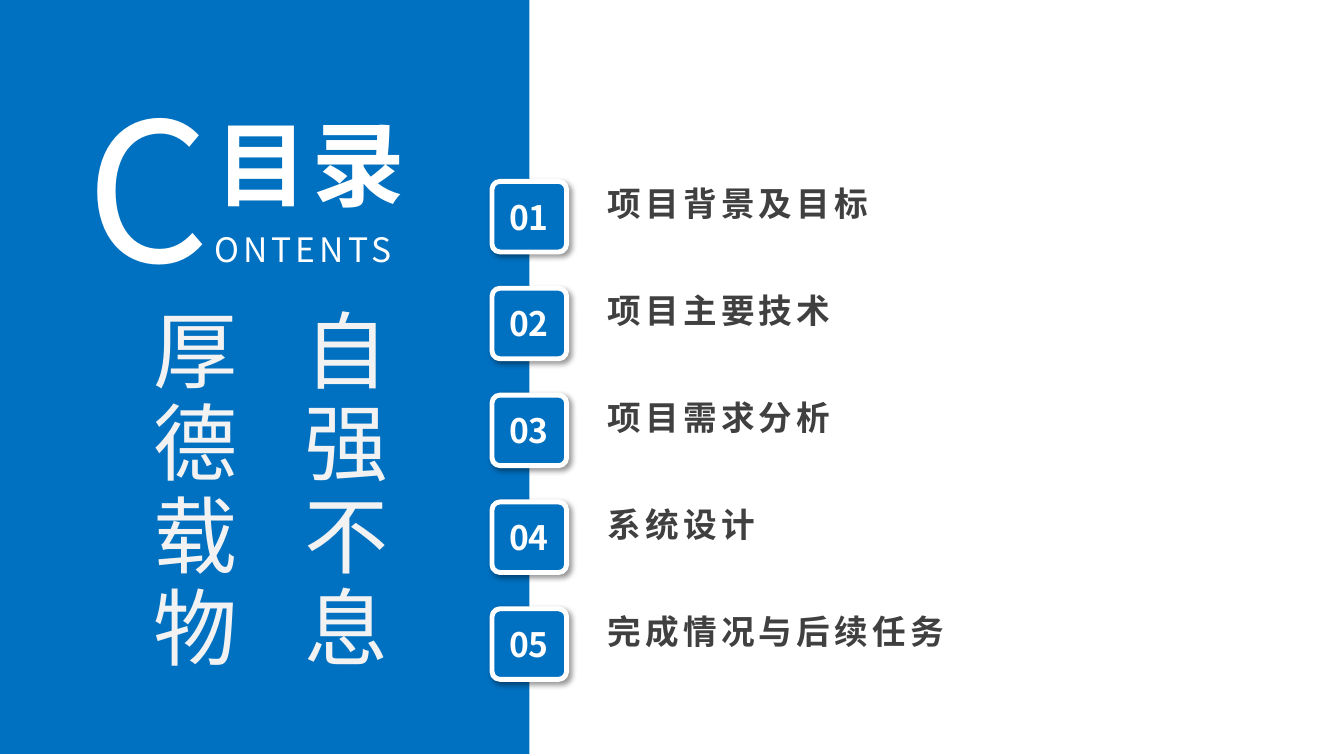
from lxml import etree
from pptx import Presentation
from pptx.dml.color import RGBColor
from pptx.enum.shapes import MSO_SHAPE
from pptx.enum.text import MSO_ANCHOR, MSO_AUTO_SIZE, PP_ALIGN
from pptx.oxml.ns import qn
from pptx.util import Inches, Pt

RECTANGLE, ROUNDED = MSO_SHAPE.RECTANGLE, MSO_SHAPE.ROUNDED_RECTANGLE
LEFT, CENTER, JUSTIFY = PP_ALIGN.LEFT, PP_ALIGN.CENTER, PP_ALIGN.JUSTIFY
TOP = MSO_ANCHOR.TOP
GROW = MSO_AUTO_SIZE.SHAPE_TO_FIT_TEXT
TITLE_ONLY = 5

BLUE, WHITE, DARK, PALE = "0070C0", "FFFFFF", "404040", "F2F2F2"
FIRST_BADGE_TOP, STEP = 1.8, 1.06
CHAPTERS = [
    ("项目背景及目标", 3.05),
    ("项目主要技术", 3.05),
    ("项目需求分析", 3.05),
    ("系统设计", 3.05),
    ("完成情况与后续任务", 4.41),
]


def color(value):
    return RGBColor.from_string(value)


class ContentsSlide:
    font = "Noto Sans CJK SC"

    def __init__(self, presentation):
        layout = presentation.slide_layouts[TITLE_ONLY]
        self.slide = presentation.slides.add_slide(layout)
        self.shapes = self.slide.shapes

    def box(self, shapes, kind, bounds, fill, line=None):
        shape = shapes.add_shape(kind, *map(Inches, bounds))
        shape.shadow.inherit = False
        shape.fill.solid()
        shape.fill.fore_color.rgb = color(fill)
        if line:
            shape.line.color.rgb = color(line)
            shape.line.width = Pt(3.5)
        else:
            shape.line.fill.background()
        return shape

    def drop_shadow(self, shape):
        effects = shape._element.spPr.find(qn("a:effectLst"))
        shadow = etree.SubElement(effects, qn("a:outerShdw"), blurRad=str(Pt(4)),
                                  dist=str(Pt(3)), dir=str(45 * 60000),
                                  algn="tl", rotWithShape="0")
        black = etree.SubElement(shadow, qn("a:srgbClr"), val="000000")
        etree.SubElement(black, qn("a:alpha"), val="40000")

    def fill_text(self, shape, paragraphs, fill, bold=False, align=LEFT,
                  spacing=0, line_spacing=None, wrap=True):
        """Each paragraph is a list of (text, size) runs."""
        frame = shape.text_frame
        frame_format = {"word_wrap": wrap, "auto_size": GROW, "vertical_anchor": TOP}
        for name, value in frame_format.items():
            setattr(frame, name, value)
        for index, runs in enumerate(paragraphs):
            paragraph = frame.add_paragraph() if index else frame.paragraphs[0]
            paragraph.alignment = align
            paragraph.line_spacing = line_spacing
            for text, size in runs:
                run = paragraph.add_run()
                run.text = text
                run_format = {"size": Pt(size), "bold": bold, "name": self.font}
                for name, value in run_format.items():
                    setattr(run.font, name, value)
                run.font.color.rgb = color(fill)
                properties = run._r.get_or_add_rPr()
                properties.set("spc", str(spacing * 100))
                east_asian = etree.Element(qn("a:ea"), typeface=self.font)
                properties.find(qn("a:latin")).addnext(east_asian)

    def text(self, shapes, bounds, paragraphs, fill, **style):
        shape = shapes.add_textbox(*map(Inches, bounds))
        self.fill_text(shape, paragraphs, fill, **style)
        return shape

    def title(self, bounds, text, size):
        shape = self.shapes.title
        sides = dict(zip(("left", "top", "width", "height"), bounds))
        for name, value in sides.items():
            setattr(shape, name, Inches(value))
        self.fill_text(shape, [[(text, size)]], WHITE, bold=True, align=JUSTIFY,
                       spacing=3)
        # Bring the title in front of the blue panel
        self.shapes._spTree.append(shape._element)

    def badge(self, top, number):
        group = self.shapes.add_group_shape().shapes
        tile = self.box(group, ROUNDED, (4.88, top, 0.74, 0.7), BLUE, WHITE)
        tile.adjustments[0] = 0.114
        self.drop_shadow(tile)
        self.text(group, (4.85, top + 0.1, 0.79, 0.5), [[(f"{number:02}", 24)]],
                  WHITE, bold=True, align=CENTER)

    def motto(self, bounds, lines):
        shape = self.text(self.shapes, bounds, [[(line, 60)] for line in lines],
                          PALE, align=JUSTIFY, spacing=6, line_spacing=1.5, wrap=False)
        shape.text_frame._txBody.bodyPr.set("vert", "eaVert")


def main():
    presentation = Presentation()
    presentation.slide_width = Inches(13.33)
    presentation.slide_height = Inches(7.5)
    contents = ContentsSlide(presentation)

    # Blue panel with heading
    contents.box(contents.shapes, RECTANGLE, (0, -0.02, 5.25, 7.5), BLUE)
    contents.text(contents.shapes, (0.76, 0.64, 3.68, 2.42),
                  [[("C", 138), ("ONTENTS", 24)]], WHITE, align=JUSTIFY, spacing=3)
    contents.title((2.04, 1.01, 2.44, 1.21), "目录", 66)

    # Numbered chapters
    for index, (chapter, width) in enumerate(CHAPTERS):
        top = FIRST_BADGE_TOP + index * STEP
        contents.badge(top, index + 1)
        contents.text(contents.shapes, (5.93, top - 0.03, width, 0.5),
                      [[(chapter, 24)]], DARK, bold=True, spacing=3)

    # Vertical motto
    contents.motto((1.23, 2.96, 3.23, 4.11), ["自强不息", "厚德载物"])

    presentation.save("out.pptx")


if __name__ == "__main__":
    main()
